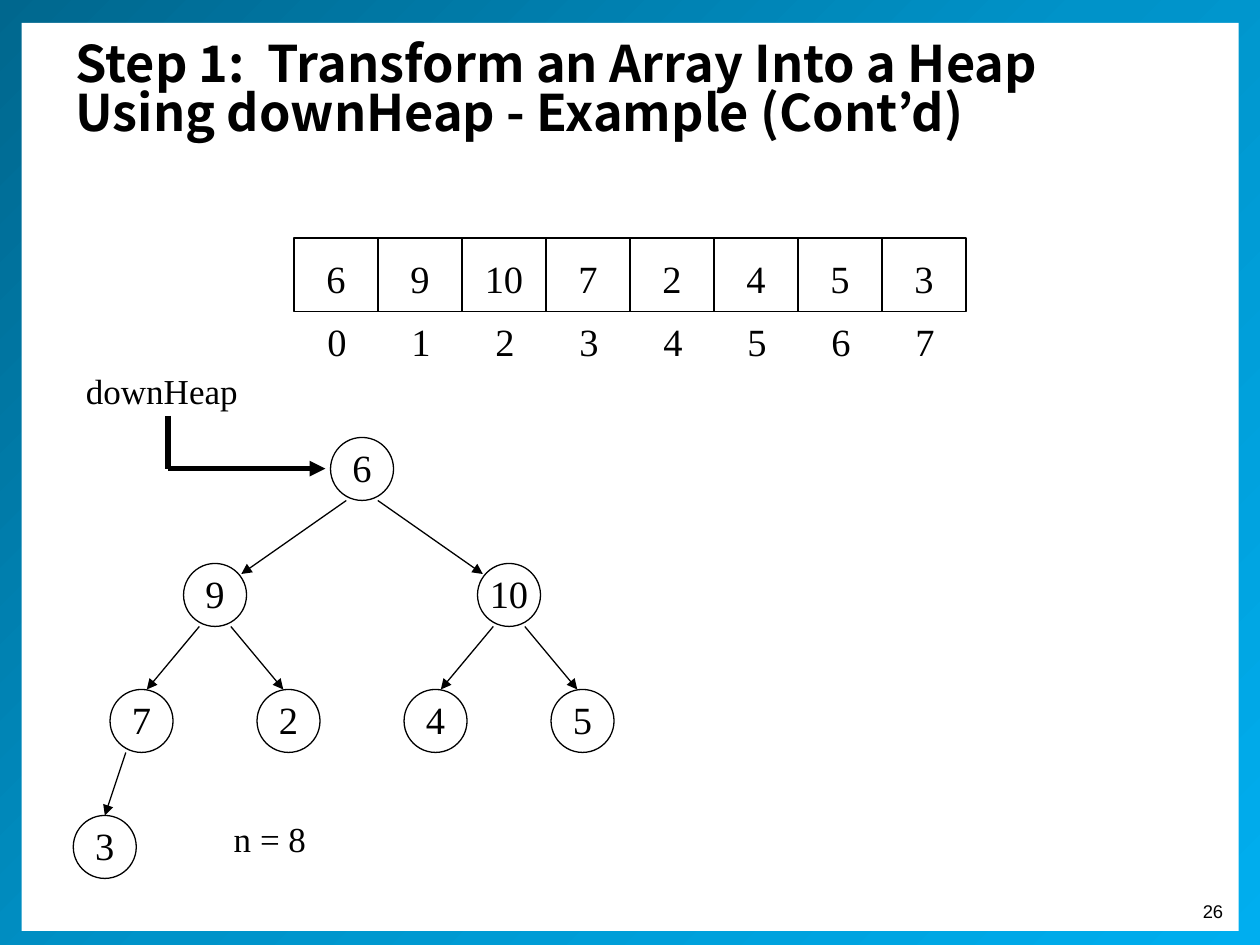
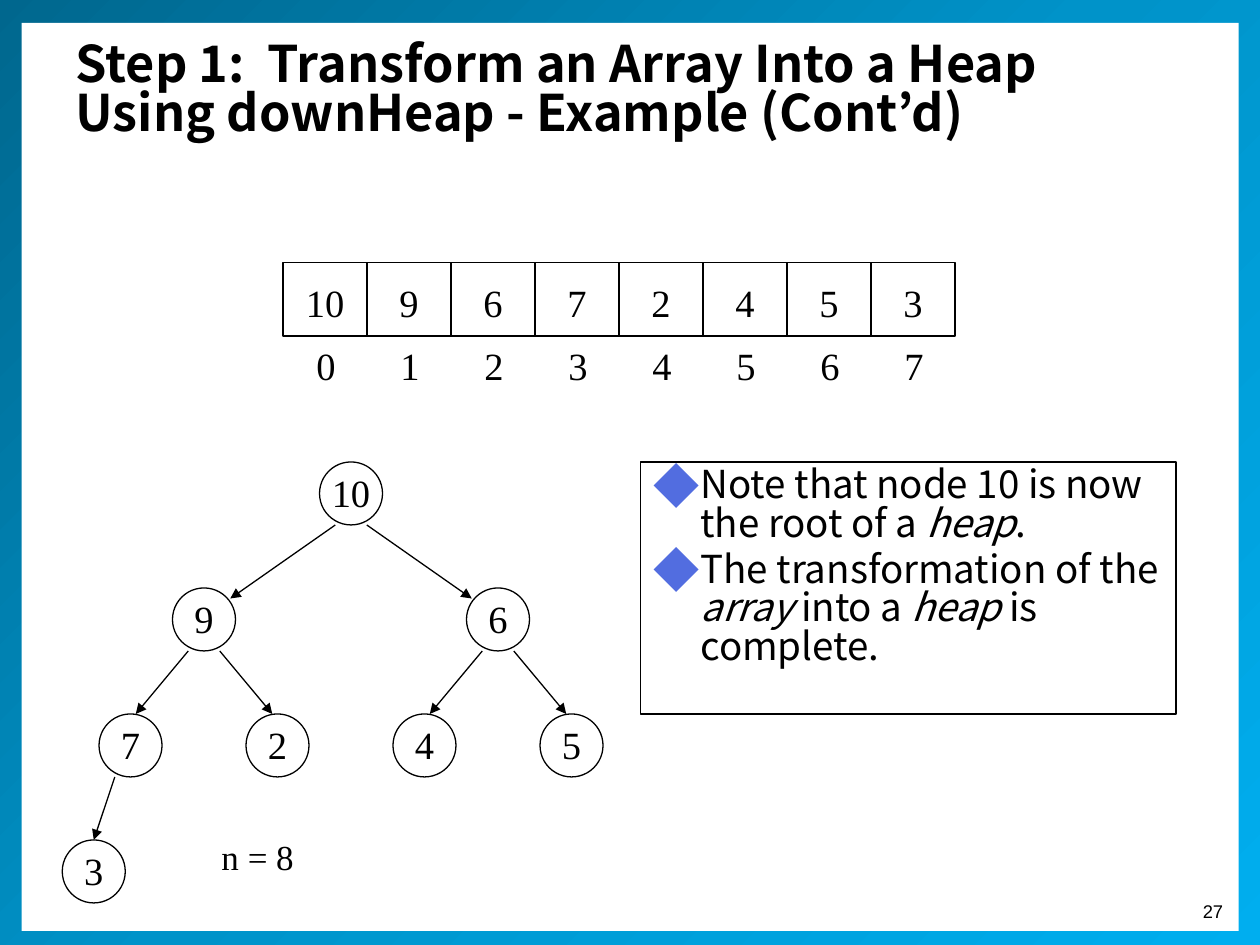
from copy import deepcopy

from pptx import Presentation
from pptx.dml.color import RGBColor
from pptx.enum.shapes import MSO_CONNECTOR, MSO_SHAPE
from pptx.enum.text import MSO_ANCHOR, MSO_AUTO_SIZE, PP_ALIGN
from pptx.oxml.ns import qn
from pptx.util import Pt
from lxml.etree import SubElement

COLORS = {
    "ink": "000000",
    "paper": "FFFFFF",
    "band_dark": "00678E",
    "band_mid": "0093C9",
    "band_light": "00AEEF",
    "bullet": "526DE0",
}
HEADING_FONT = "Noto Sans CJK KR"
DIAGRAM_FONT = "Times New Roman"
TITLE = "Step 1:  Transform an Array Into a Heap Using downHeap - Example (Cont’d)"
CELL_WIDTH, CELL_HEIGHT = 48, 42
NODE_SIZE = 36
LEVEL_GAP = 72
CHILD_SPREAD = [84, 42, 21]
ARROW_TIP = [(15, 6), (3, 0), (0, 0)]

STEPS = [
    {
        "number": "26",
        "array": [6, 9, 10, 7, 2, 4, 5, 3],
        "array_at": (168, 136),
        "root_at": (206.9, 250),
        "count_at": (126.5, 463.5),
        "notes": [],
    },
    {
        "number": "27",
        "array": [10, 9, 6, 7, 2, 4, 5, 3],
        "array_at": (161.75, 150),
        "root_at": (200.6, 264),
        "count_at": (119.5, 474),
        "notes": [
            [("Note that node 10 is now the root of a ", False), ("heap", True), (".", False)],
            [("The transformation of the ", False), ("array", True), (" into a ", False),
             ("heap", True), (" is complete.", False)],
        ],
    },
]


def format_text(frame, font, size, align=PP_ALIGN.LEFT, bold=False):
    for paragraph in frame.paragraphs:
        paragraph.alignment = align
        for run in paragraph.runs:
            run.font.name = font
            run.font.size = Pt(size)
            run.font.bold = bold
            run.font.color.rgb = RGBColor.from_string(COLORS["ink"])


def draw_line(slide, start, end, width, arrow=True):
    line = slide.shapes.add_connector(
        MSO_CONNECTOR.STRAIGHT, Pt(start[0]), Pt(start[1]), Pt(end[0]), Pt(end[1]))
    line.line.color.rgb = RGBColor.from_string(COLORS["ink"])
    line.line.width = Pt(width)
    properties = line.element.find(qn("p:spPr"))
    if arrow:
        SubElement(properties.find(qn("a:ln")), qn("a:tailEnd"), type="triangle")
    SubElement(properties, qn("a:effectLst"))


prs = Presentation()
prs.slide_width, prs.slide_height = Pt(720), Pt(540)
slides = [prs.slides.add_slide(prs.slide_layouts[1 if step["notes"] else 5]) for step in STEPS]

frame_band = slides[0].shapes.add_shape(MSO_SHAPE.RECTANGLE, Pt(0), Pt(-3), Pt(720), Pt(546.5))
frame_band.fill.gradient()
frame_band.fill.gradient_angle = 315
stop_list = frame_band.element.find(".//" + qn("a:gsLst"))
stop_list.insert(1, deepcopy(stop_list[0]))
for stop, position, shade in zip(frame_band.fill.gradient_stops, (0, 0.5, 1),
                                 ("band_dark", "band_mid", "band_light")):
    stop.position = position
    stop.color.rgb = RGBColor.from_string(COLORS[shade])

page = slides[0].shapes.add_shape(MSO_SHAPE.RECTANGLE, Pt(12.4), Pt(13), Pt(695.5), Pt(519))
page.fill.solid()
page.fill.fore_color.rgb = RGBColor.from_string(COLORS["paper"])
for depth, backdrop in enumerate((frame_band, page)):
    backdrop.line.fill.background()
    backdrop.shadow.inherit = False
    prs.slide_master.shapes.element.insert(2 + depth, backdrop.element)

for slide, step in zip(slides, STEPS):
    title = slide.shapes.title
    title.left, title.top, title.width, title.height = Pt(36), Pt(21.6), Pt(648), Pt(56)
    title.text_frame.text = TITLE
    title.text_frame.auto_size = MSO_AUTO_SIZE.NONE
    title.text_frame.vertical_anchor = MSO_ANCHOR.MIDDLE
    title.text_frame.margin_top = Pt(9.6)
    title.text_frame.paragraphs[0].line_spacing = 0.82
    format_text(title.text_frame, HEADING_FONT, 28.8, bold=True)

    if step["notes"]:
        notes = slide.placeholders[1]
        notes.left, notes.top, notes.width, notes.height = Pt(366), Pt(264), Pt(306), Pt(144)
        notes.line.color.rgb = RGBColor.from_string(COLORS["ink"])
        notes.line.width = Pt(0.75)
        notes.text_frame.auto_size = MSO_AUTO_SIZE.NONE
        for position, note in enumerate(step["notes"]):
            if position:
                paragraph = notes.text_frame.add_paragraph()
            else:
                paragraph = notes.text_frame.paragraphs[0]
            for words, italic in note:
                run = paragraph.add_run()
                run.text = words
                run.font.italic = italic
            paragraph.line_spacing = 0.83
            paragraph.space_before = Pt(4.4)
            properties = paragraph.element.get_or_add_pPr() if hasattr(paragraph, "element") \
                else paragraph.runs[0].font and notes.element.findall(".//" + qn("a:pPr"))[position]
            properties.set("marL", str(Pt(27)))
            properties.set("indent", str(Pt(-27)))
            bullet_color = SubElement(properties, qn("a:buClr"))
            SubElement(bullet_color, qn("a:srgbClr"), val=COLORS["bullet"])
            SubElement(properties, qn("a:buSzPct"), val="120000")
            SubElement(properties, qn("a:buFont"), typeface=HEADING_FONT)
            SubElement(properties, qn("a:buChar"), char="◆")
        format_text(notes.text_frame, HEADING_FONT, 22)

    array_left, array_top = step["array_at"]
    root_x, root_top = step["root_at"]
    labels = [
        (step["number"], 678, 511, 28, 20, "Arial", 10.5, PP_ALIGN.RIGHT),
        (f"n = {len(step['array'])}", *step["count_at"], 164, 32, DIAGRAM_FONT, 20, PP_ALIGN.LEFT),
    ]
    if not step["notes"]:
        labels.append(("downHeap", 42, 207.4, 102, 32, DIAGRAM_FONT, 20, PP_ALIGN.LEFT))
        draw_line(slide, (96, 237.6), (96, 267.8), 3, arrow=False)
        draw_line(slide, (96, 267.8), (186, 267.8), 3)

    boxes = []
    centers = []
    for index, value in enumerate(step["array"]):
        cell_left = array_left + index * CELL_WIDTH
        boxes.append((MSO_SHAPE.RECTANGLE, value, cell_left, array_top,
                      CELL_WIDTH, CELL_HEIGHT, 3.6, 0))
        labels.append((str(index), cell_left + 12, array_top + CELL_HEIGHT, 24, 34,
                       DIAGRAM_FONT, 22, PP_ALIGN.LEFT))

        level = (index + 1).bit_length() - 1
        node_top = root_top + level * LEVEL_GAP
        node_x = root_x
        if index:
            side = -1 if index % 2 else 1
            parent_x = centers[(index - 1) // 2]
            node_x = parent_x + side * CHILD_SPREAD[level - 1]
            tip_x, tip_y = ARROW_TIP[level - 1]
            draw_line(slide, (parent_x + side * 9, node_top - LEVEL_GAP + NODE_SIZE),
                      (node_x - side * tip_x, node_top + tip_y), 0.75)
        centers.append(node_x)
        boxes.append((MSO_SHAPE.OVAL, value, node_x - NODE_SIZE / 2, node_top,
                      NODE_SIZE, NODE_SIZE, 0, 2))

    for outline, value, left, top, width, height, margin_top, margin_bottom in boxes:
        box = slide.shapes.add_shape(outline, Pt(left), Pt(top), Pt(width), Pt(height))
        box.shadow.inherit = False
        box.fill.background()
        box.line.color.rgb = RGBColor.from_string(COLORS["ink"])
        box.line.width = Pt(0.75)
        frame = box.text_frame
        frame.text = str(value)
        frame.word_wrap = False
        frame.vertical_anchor = MSO_ANCHOR.MIDDLE
        frame.margin_left = frame.margin_right = Pt(0)
        frame.margin_top, frame.margin_bottom = Pt(margin_top), Pt(margin_bottom)
        format_text(frame, DIAGRAM_FONT, 22, PP_ALIGN.CENTER)

    for words, left, top, width, height, font, size, align in labels:
        label = slide.shapes.add_textbox(Pt(left), Pt(top), Pt(width), Pt(height))
        label.text_frame.text = words
        label.text_frame.word_wrap = True
        format_text(label.text_frame, font, size, align)

prs.save("out.pptx")
